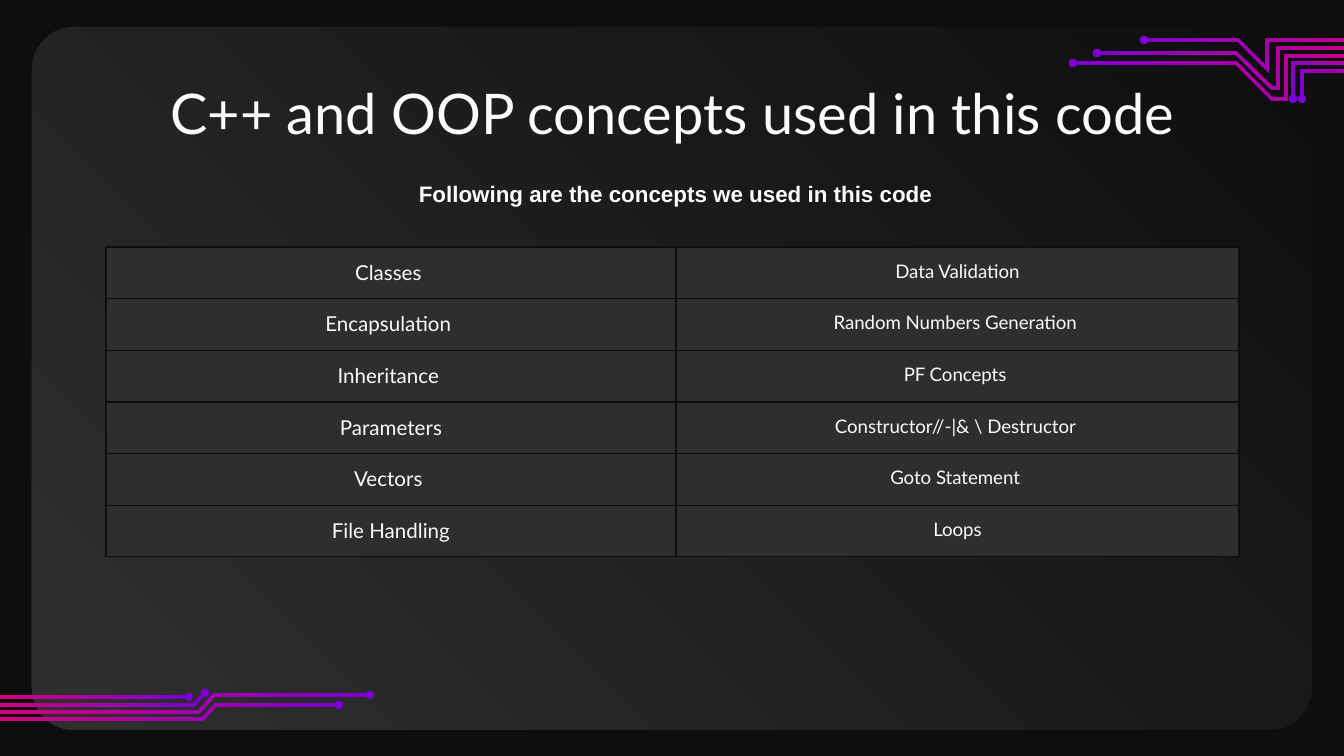
from math import asin, atan2, cos, hypot, pi, sin

from lxml import etree
from pptx import Presentation
from pptx.dml.color import RGBColor
from pptx.enum.shapes import MSO_SHAPE
from pptx.enum.text import PP_ALIGN
from pptx.oxml.ns import qn
from pptx.util import Pt

WIDTH, HEIGHT = 1344, 756
PX = 9144000 / WIDTH
COLORS = {
    "background": "0E0E0E",
    "panel_dark": "0F0F0F",
    "panel_light": "2E2E2E",
    "text": "FAFAFA",
    "violet": "7800DA",
    "pink": "DA0078",
}
INSET = 13
TRACE_HALF, DOT_RADIUS = 1.5, 4

CONCEPTS = [
    ("Classes ", "Data Validation"),
    ("Encapsulation ", "Random Numbers Generation "),
    ("Inheritance ", "PF Concepts "),
    ("Parameters", "Constructor//-|& \\ Destructor "),
    ("Vectors ", "Goto Statement "),
    ("File Handling", "Loops"),
]

# Centre lines relative to the group's corner; each starts at its dot.
TOP_TRACES = [
    [(229, 63), (229, 35), (336, 35)],
    [(220, 63), (220, 27), (336, 27)],
    [(71, 4), (165, 4), (194, 33), (194, 4), (336, 4)],
    [(0, 27), (163, 27), (199, 63), (213, 63), (213, 20), (336, 20)],
    [(24, 17), (163, 17), (199, 52), (205, 52), (205, 12), (336, 12)],
]
BOTTOM_TRACES = [
    [(339, 16), (216, 16), (203, 30), (0, 30)],
    [(205, 4), (194, 16), (0, 16)],
    [(189, 8), (0, 8)],
    [(370, 6), (214, 6), (199, 23), (0, 23)],
]


def emu(px):
    return round(px * PX)


def rgb(name):
    return RGBColor.from_string(COLORS[name])


def paint_gradient(shape, start, end, angle):
    shape.shadow.inherit = False
    shape.line.fill.background()
    shape.fill.gradient()
    shape.fill.gradient_angle = angle
    for stop, name in zip(shape.fill.gradient_stops, (start, end)):
        stop.color.rgb = rgb(name)


def write_text(frame, text, size, font, bold=False, right_inset=INSET):
    frame.word_wrap = True
    frame.text = text
    paragraph = frame.paragraphs[0]
    paragraph.alignment = PP_ALIGN.CENTER
    style = paragraph.runs[0].font
    style.name, style.size, style.bold = font, Pt(size), bold
    style.color.rgb = rgb("text")
    frame.margin_left = frame.margin_top = frame.margin_bottom = emu(INSET)
    frame.margin_right = emu(right_inset)


def add_panel(slide, box):
    panel = slide.shapes.add_shape(MSO_SHAPE.ROUNDED_RECTANGLE, *map(emu, box))
    panel.adjustments[0] = 0.06
    paint_gradient(panel, "panel_dark", "panel_light", 225)


def trace_outline(points):
    """Outline of a mitred stroke along the points, with a round dot at the first."""
    normals = []
    for (x1, y1), (x2, y2) in zip(points, points[1:]):
        length = hypot(x2 - x1, y2 - y1)
        normals.append(((y1 - y2) / length, (x2 - x1) / length))
    left, right = [], []
    for (x, y), (ax, ay), (bx, by) in zip(points[1:], normals, normals[1:] + normals[-1:]):
        reach = TRACE_HALF / (1 + ax * bx + ay * by)
        dx, dy = (ax + bx) * reach, (ay + by) * reach
        left.append((x + dx, y + dy))
        right.append((x - dx, y - dy))

    (x0, y0), (x1, y1) = points[:2]
    heading = atan2(y1 - y0, x1 - x0)
    gap = asin(TRACE_HALF / DOT_RADIUS)
    steps = 20
    turns = [heading + gap + (2 * pi - 2 * gap) * i / steps for i in range(steps + 1)]
    dot = [(x0 + DOT_RADIUS * cos(t), y0 + DOT_RADIUS * sin(t)) for t in turns]
    return dot + right + left[::-1]


def add_circuit(slide, corner, traces, angle):
    left, top = corner
    for points in traces:
        outline = [(emu(left + x), emu(top + y)) for x, y in trace_outline(points)]
        builder = slide.shapes.build_freeform(*outline[0])
        builder.add_line_segments(outline[1:], close=True)
        paint_gradient(builder.convert_to_shape(), "violet", "pink", angle)


def add_heading(slide, box, text, size, font, **options):
    heading = slide.shapes.add_textbox(*map(emu, box))
    write_text(heading.text_frame, text, size, font, **options)


def add_borders(cell):
    properties = cell._tc.get_or_add_tcPr()
    for index, side in enumerate(("a:lnL", "a:lnR", "a:lnT", "a:lnB")):
        line = etree.Element(qn(side), w=str(Pt(0.75)))
        fill = etree.SubElement(line, qn("a:solidFill"))
        etree.SubElement(fill, qn("a:srgbClr"), val=COLORS["background"])
        properties.insert(index, line)


def add_concept_table(slide, box, column_widths):
    table = slide.shapes.add_table(len(CONCEPTS), 2, *map(emu, box)).table
    table.first_row = table.horz_banding = False
    for column, width in zip(table.columns, column_widths):
        column.width = emu(width)
    for row, concepts in zip(table.rows, CONCEPTS):
        row.height = emu(box[3] / len(CONCEPTS))
        for cell, concept, size in zip(row.cells, concepts, (11, 10)):
            write_text(cell.text_frame, concept, size, "Lato")
            cell.margin_left = cell.margin_right = emu(INSET)
            cell.margin_top = cell.margin_bottom = emu(INSET)
            cell.fill.solid()
            cell.fill.fore_color.rgb = rgb("panel_light")
            add_borders(cell)


def build_concepts_slide(presentation):
    slide = presentation.slides.add_slide(presentation.slide_layouts[6])
    slide.background.fill.solid()
    slide.background.fill.fore_color.rgb = rgb("background")
    add_panel(slide, (32, 27, 1280, 703))
    add_circuit(slide, (0, 689), BOTTOM_TRACES, 135)
    add_circuit(slide, (1073, 36), TOP_TRACES, 45)
    add_heading(slide, (106, 66, 1133, 85),
                "C++ and OOP concepts used in this code", 30, "Lato")
    add_concept_table(slide, (106, 247, 1133, 310), (570, 563))
    add_heading(slide, (106, 167, 1133, 51),
                "Following are the concepts we used in this code ", 12, "Arial",
                bold=True, right_inset=0)


def main():
    presentation = Presentation()
    presentation.slide_width, presentation.slide_height = emu(WIDTH), emu(HEIGHT)
    build_concepts_slide(presentation)
    presentation.save("out.pptx")


if __name__ == "__main__":
    main()
